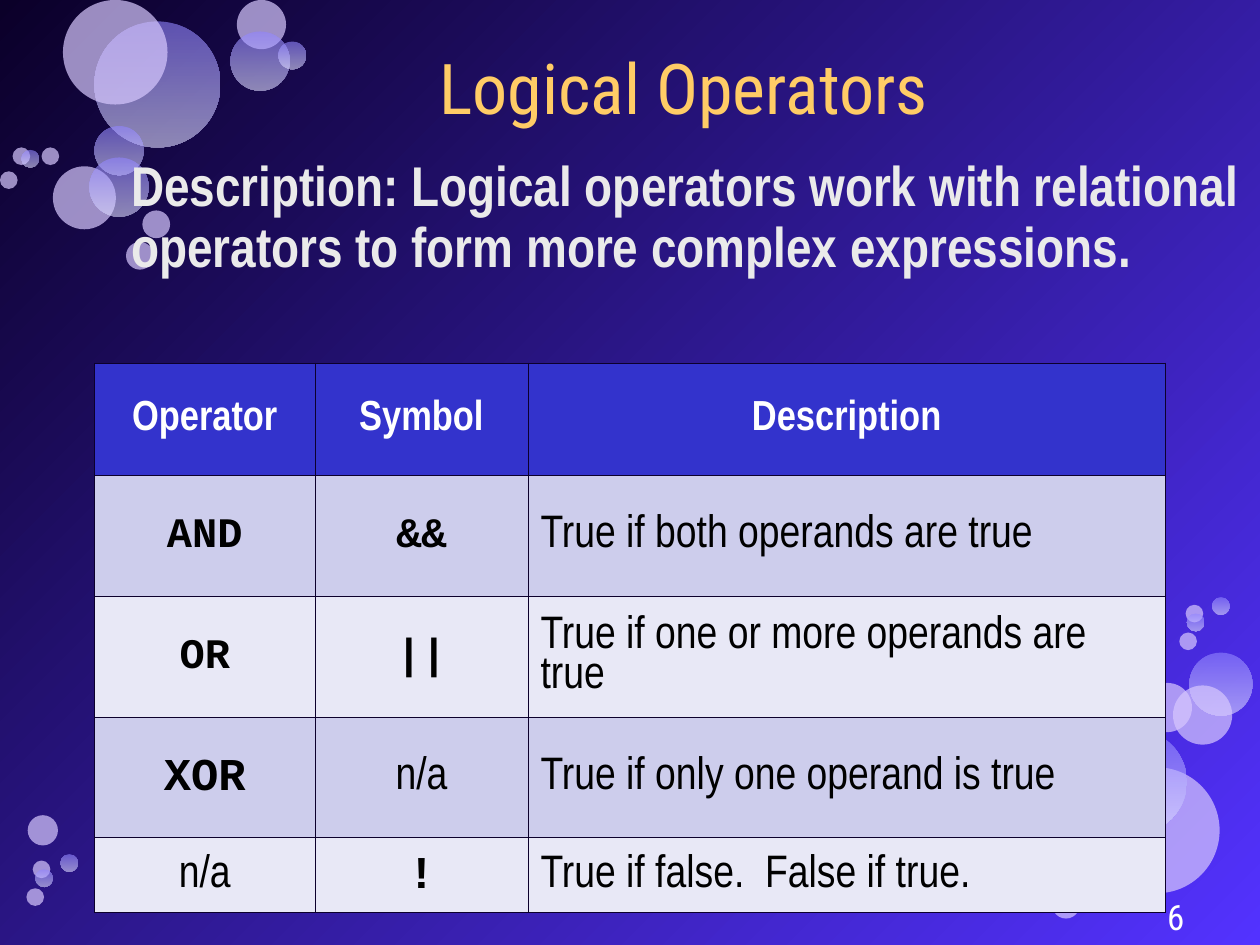
import pptx
import pptx.dml.color
import pptx.enum.shapes
import pptx.enum.text
import pptx.oxml.ns
import pptx.util
from lxml import etree
from pptx.util import Inches

ALIGN = pptx.enum.text.PP_ALIGN
ANCHOR = pptx.enum.text.MSO_ANCHOR
qn = pptx.oxml.ns.qn


def color(hex_string):
    return pptx.dml.color.RGBColor.from_string(hex_string)


def write(frame, text, *, size, font, fill, bold=False, align=ALIGN.LEFT,
          spacing=1.04, anchor=ANCHOR.MIDDLE, margins=(0.1, 0.05)):
    frame.word_wrap = True
    frame.auto_size = pptx.enum.text.MSO_AUTO_SIZE.NONE
    frame.vertical_anchor = anchor
    frame.margin_left = frame.margin_right = Inches(margins[0])
    frame.margin_top = frame.margin_bottom = Inches(margins[1])
    paragraph = frame.paragraphs[0]
    paragraph.alignment = align
    paragraph.line_spacing = spacing
    run = paragraph.add_run()
    run.text = text
    run.font.size = pptx.util.Pt(size)
    run.font.name = font
    run.font.bold = bold
    run.font.color.rgb = color(fill)


presentation = pptx.Presentation()
presentation.slide_width = Inches(10)
presentation.slide_height = Inches(7.5)
slide = presentation.slides.add_slide(presentation.slide_layouts[5])

# Background gradient, dark top left to bright bottom right
backdrop = slide.background.fill
backdrop.gradient()
backdrop.gradient_angle = 315
for stop, shade in zip(backdrop.gradient_stops, ("0B0029", "5332FF")):
    stop.color.rgb = color(shade)

# Bubbles: left, top, diameter, shaded or plain
bubbles = [
    # top left
    (0.75, 0.17, 1, True), (0.42, 1.32, 0.5, False), (0.75, 1, 0.39, True),
    (0.71, 1.25, 0.47, True), (0.5, 0, 0.83, False), (1.88, 0, 0.39, False),
    (1.83, 0.25, 0.47, True), (2.21, 0.33, 0.22, True), (1.13, 1.67, 0.22, False),
    (0.1, 1.17, 0.14, False), (1, 1.92, 0.22, False), (0, 1.36, 0.14, False),
    (0.17, 1.19, 0.14, True), (0.33, 1.17, 0.14, False),
    # bottom right
    (8.68, 6.09, 1, False), (9.44, 5.18, 0.5, True), (9.07, 5.42, 0.39, False),
    (9.31, 5.44, 0.47, False), (8.59, 5.79, 0.83, True), (8.08, 6.31, 0.47, False),
    (8.11, 6.67, 0.22, True), (8.35, 7.07, 0.22, False), (9.41, 4.8, 0.14, False),
    (8.63, 7, 0.22, False), (9.62, 4.74, 0.14, True), (9.42, 4.87, 0.14, True),
    (9.36, 5.02, 0.14, False),
    # bottom left
    (0.22, 6.47, 0.24, False), (0.26, 6.83, 0.14, False), (0.48, 6.78, 0.14, True),
    (0.28, 6.9, 0.14, True), (0.21, 7.05, 0.14, False),
]
for left, top, diameter, shaded in bubbles:
    bubble = slide.shapes.add_shape(
        pptx.enum.shapes.MSO_SHAPE.OVAL,
        Inches(left), Inches(top), Inches(diameter), Inches(diameter))
    bubble.shadow.inherit = False
    bubble.line.fill.background()
    if shaded:
        bubble.fill.gradient()
        bubble.fill.gradient_angle = 270
        for stop, shade in zip(bubble.fill.gradient_stops, ("9185FF", "DEDCFF")):
            stop.color.rgb = color(shade)
    else:
        bubble.fill.solid()
        bubble.fill.fore_color.rgb = color("D7C8FE")
    for tint in bubble._element.spPr.iter(qn("a:srgbClr")):
        etree.SubElement(tint, qn("a:alpha"), val="60000" if shaded else "70000")

# Description
description = slide.shapes.add_textbox(Inches(1.04), Inches(1.25), Inches(8.81), Inches(1.38))
write(description.text_frame,
      "Description: Logical operators work with relational operators "
      "to form more complex expressions.",
      size=32, font="Arial Narrow", fill="EAEAEA", bold=True,
      spacing=0.91, anchor=ANCHOR.TOP, margins=(0, 0))

# Title
title = slide.shapes.title
title.left, title.top = Inches(1.04), Inches(0.23)
title.width, title.height = Inches(8.77), Inches(0.88)
write(title.text_frame, "Logical Operators", size=40, font="Roboto Condensed",
      fill="FFCC66", align=ALIGN.CENTER, margins=(0, 0))

# Operator table
operators = [
    ("Operator", "Symbol", "Description"),
    ("AND", "&&", "True if both operands are true"),
    ("OR", "||", "True if one or more operands are true"),
    ("XOR", "n/a", "True if only one operand is true"),
    ("n/a", "!", "True if false.  False if true."),
]
table = slide.shapes.add_table(5, 3, Inches(0.75), Inches(2.88), Inches(8.5), Inches(4.36)).table
for column, width in zip(table.columns, (1.75, 1.69, 5.06)):
    column.width = Inches(width)
for row, height in zip(table.rows, (0.89, 0.96, 0.96, 0.96, 0.59)):
    row.height = Inches(height)

for r, entries in enumerate(operators):
    for c, entry in enumerate(entries):
        cell = table.cell(r, c)
        header = r == 0
        code = not header and c < 2 and entry != "n/a"
        write(cell.text_frame, entry,
              size=24 if header or (code and r < 3) else 26,
              font="Courier New" if code else "Arial Narrow",
              fill="FFFFFF" if header else "000000",
              bold=header or code,
              align=ALIGN.CENTER if header or c < 2 else ALIGN.LEFT,
              spacing=0.84 if code else 0.94)
        cell.vertical_anchor = ANCHOR.MIDDLE
        cell.margin_left = cell.margin_right = Inches(0.1)
        cell.margin_top = cell.margin_bottom = Inches(0.05)
        # Borders go before the fill in the cell properties
        properties = cell._tc.get_or_add_tcPr()
        for side in ("a:lnL", "a:lnR", "a:lnT", "a:lnB"):
            border = etree.SubElement(properties, qn(side), w="5715")
            ink = etree.SubElement(border, qn("a:solidFill"))
            etree.SubElement(ink, qn("a:srgbClr"), val="0C002C")
        cell.fill.solid()
        cell.fill.fore_color.rgb = color(
            "3333CC" if header else "CDCDEC" if r % 2 else "E8E8F6")

# Slide number
number = slide.shapes.add_textbox(Inches(7.17), Inches(7.13), Inches(2.33), Inches(0.28))
write(number.text_frame, "6", size=20, font="Roboto Condensed",
      fill="FFFFFF", align=ALIGN.RIGHT)

presentation.save("out.pptx")
